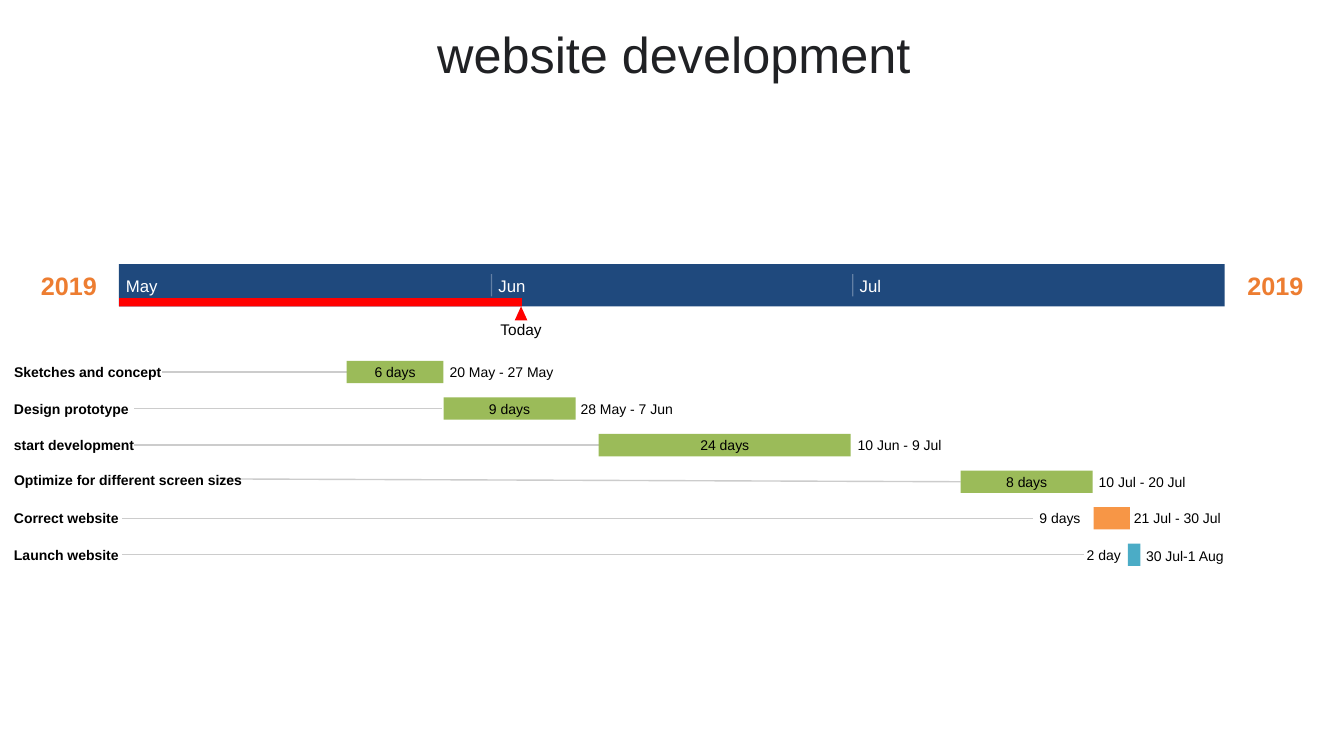
from typing import NamedTuple, Optional

from lxml import etree
from pptx import Presentation
from pptx.dml.color import RGBColor
from pptx.enum import shapes, text
from pptx.oxml import ns
from pptx.util import Pt

FONT = "Arial"
BLACK = RGBColor(0x00, 0x00, 0x00)
WHITE = RGBColor(0xFF, 0xFF, 0xFF)
TITLE_GREY = RGBColor(0x20, 0x21, 0x24)
YEAR_ORANGE = RGBColor(0xED, 0x7D, 0x31)
BAND_BLUE = RGBColor(0x1F, 0x49, 0x7D)
TODAY_RED = RGBColor(0xFF, 0x00, 0x00)
LEADER_GREY = RGBColor(0xCC, 0xCC, 0xCC)
GREEN = RGBColor(0x9B, 0xBB, 0x59)
ORANGE = RGBColor(0xF7, 0x96, 0x46)
TEAL = RGBColor(0x4B, 0xAC, 0xC6)

LEFT, CENTER = text.PP_ALIGN.LEFT, text.PP_ALIGN.CENTER
RECTANGLE = shapes.MSO_SHAPE.RECTANGLE
TRIANGLE = shapes.MSO_SHAPE.ISOSCELES_TRIANGLE

BAND_LEFT, BAND_TOP, BAND_WIDTH, BAND_HEIGHT = 85, 188.6, 789.8, 30.2
BAND_BOTTOM = BAND_TOP + BAND_HEIGHT
TODAY_X, ELAPSED_HEIGHT = 372.2, 5.8
FIRST_ROW_Y, ROW_PITCH = 265.8, 26.1
BAR_HEIGHT, ROW_TEXT_HEIGHT, TASK_LEFT = 16, 12.2, 10


class Month(NamedTuple):
    """A month on the band, with a divider unless it opens the band."""
    name: str
    start: float
    width: float
    divided: bool = True


class Task(NamedTuple):
    """One row of the plan; the shifts move a part off the row's centre line."""
    name: str
    name_width: float
    leader_start: float
    leader_end: float
    bar_left: float
    bar_width: float
    duration: str
    dates: str
    dates_left: float
    dates_width: float
    color: RGBColor = GREEN
    duration_x: Optional[float] = None
    duration_width: float = 38.2
    name_shift: float = 0
    leader_shift: float = 0
    dates_shift: float = 0


MONTHS = [
    Month("May", BAND_LEFT, 28.8, divided=False),
    Month("Jun", 351.1, 28.8),
    Month("Jul", 609.1, 18.7),
]

TASKS = [
    Task("Sketches and concept", 106, 116, 249, 247.7, 69.1,
         "6 days", "20 May - 27 May", 321.1, 77),
    Task("Design prototype", 86, 96, 316, 316.8, 94.3,
         "9 days", "28 May - 7 Jun", 414.7, 67),
    Task("start development", 86.5, 96, 427.7, 427.7, 180,
         "24 days", "10 Jun - 9 Jul", 612.7, 77),
    Task("Optimize for different screen sizes", 170, 154.8, 686.2, 686.2, 94.3,
         "8 days", "10 Jul - 20 Jul", 784.8, 67, name_shift=-1, leader_shift=-2),
    Task("Correct website", 77, 87, 738, 781.2, 25.9,
         "9 days", "21 Jul - 30 Jul", 810, 67, ORANGE, duration_x=757.1),
    Task("Launch website", 77, 87, 774, 805.7, 8.9,
         "2 day", "30 Jul-1 Aug", 818.6, 93, TEAL, duration_x=788.4,
         duration_width=28.8, dates_shift=1),
]


def add_run(paragraph, words: str, size: float, color: RGBColor, bold: bool = False) -> None:
    """Append one formatted run to a paragraph."""
    run = paragraph.add_run()
    run.text = words
    run.font.name = FONT
    run.font.size = Pt(size)
    run.font.bold = bold
    run.font.color.rgb = color


def clear_margins(frame) -> None:
    """Remove the inner margins and centre the text vertically."""
    frame.margin_left = frame.margin_right = Pt(0)
    frame.margin_top = frame.margin_bottom = Pt(0)
    frame.vertical_anchor = text.MSO_ANCHOR.MIDDLE


def add_label(slide, words: str, left: float, middle: float, width: float, height: float,
              size: float, color: RGBColor = BLACK, bold: bool = False,
              align=LEFT, wrap: bool = False) -> None:
    """Add a line of text centred vertically on middle."""
    box = slide.shapes.add_textbox(Pt(left), Pt(middle - height / 2), Pt(width), Pt(height))
    frame = box.text_frame
    clear_margins(frame)
    frame.word_wrap = wrap
    frame.auto_size = text.MSO_AUTO_SIZE.SHAPE_TO_FIT_TEXT
    frame.paragraphs[0].alignment = align
    add_run(frame.paragraphs[0], words, size, color, bold)


def add_block(slide, kind, left: float, top: float, width: float, height: float,
              color: RGBColor) -> None:
    """Add a filled preset shape without outline or shadow."""
    block = slide.shapes.add_shape(kind, Pt(left), Pt(top), Pt(width), Pt(height))
    block.shadow.inherit = False
    block.fill.solid()
    block.fill.fore_color.rgb = color
    block.line.fill.background()


def add_line(slide, x1: float, y1: float, x2: float, y2: float,
             color: RGBColor, opacity: int = 100) -> None:
    """Add a one-point line; opacity is in percent."""
    line = slide.shapes.add_connector(
        shapes.MSO_CONNECTOR.STRAIGHT, Pt(x1), Pt(y1), Pt(x2), Pt(y2))
    line.line.width = Pt(1)
    line.line.color.rgb = color
    properties = line._element.spPr
    if opacity < 100:
        paint = properties.find(".//" + ns.qn("a:srgbClr"))
        etree.SubElement(paint, ns.qn("a:alpha")).set("val", str(opacity * 1000))
    etree.SubElement(properties, ns.qn("a:effectLst"))


def add_title(slide, words: str) -> None:
    """Place and format the title placeholder."""
    title = slide.shapes.title
    title.left, title.top, title.width, title.height = Pt(308.2), Pt(20.2), Pt(346.3), Pt(41)
    clear_margins(title.text_frame)
    paragraph = title.text_frame.paragraphs[0]
    paragraph.alignment = CENTER
    paragraph.line_spacing = 0.9
    add_run(paragraph, words, 36, TITLE_GREY)


def add_timeband(slide) -> None:
    """Draw the years, the band of months and the marker for today."""
    for year_left in (25.2, 887):
        add_label(slide, "2019", year_left, 204.1, 48.2, 20.9, 18, YEAR_ORANGE, True, CENTER)
    add_block(slide, RECTANGLE, BAND_LEFT, BAND_TOP, BAND_WIDTH, BAND_HEIGHT, BAND_BLUE)
    add_block(slide, RECTANGLE, BAND_LEFT, BAND_BOTTOM - ELAPSED_HEIGHT,
              TODAY_X + 0.6 - BAND_LEFT, ELAPSED_HEIGHT, TODAY_RED)
    add_block(slide, TRIANGLE, TODAY_X - 4.5, BAND_BOTTOM, 9, 10, TODAY_RED)
    add_label(slide, "Today", TODAY_X - 19.1, 235.5, 38.2, 13, 11, align=CENTER)
    for month in MONTHS:
        if month.divided:
            add_line(slide, month.start, 195.8, month.start, 211.7, WHITE, opacity=30)
        add_label(slide, month.name, month.start + 5, 204.1, month.width, 13.7, 12, WHITE)


def add_task(slide, task: Task, middle: float) -> None:
    """Draw the bar of a task with its dates, duration and name."""
    add_block(slide, RECTANGLE, task.bar_left, middle - BAR_HEIGHT / 2,
              task.bar_width, BAR_HEIGHT, task.color)
    add_label(slide, task.dates, task.dates_left, middle + task.dates_shift,
              task.dates_width, ROW_TEXT_HEIGHT, 10, wrap=True)
    duration_x = task.duration_x or task.bar_left + task.bar_width / 2
    add_label(slide, task.duration, duration_x - task.duration_width / 2, middle,
              task.duration_width, ROW_TEXT_HEIGHT, 10, align=CENTER, wrap=True)
    add_label(slide, task.name, TASK_LEFT, middle + task.name_shift,
              task.name_width, ROW_TEXT_HEIGHT, 10, bold=True, wrap=True)


def main() -> None:
    """Build the plan and save it."""
    deck = Presentation()
    deck.slide_width, deck.slide_height = Pt(960), Pt(540)
    slide = deck.slides.add_slide(deck.slide_layouts[5])
    add_title(slide, "website development")
    add_timeband(slide)
    rows = [(task, FIRST_ROW_Y + ROW_PITCH * i) for i, task in enumerate(TASKS)]
    for task, middle in rows:
        add_line(slide, task.leader_start, middle + task.leader_shift,
                 task.leader_end, middle, LEADER_GREY)
    for task, middle in rows:
        add_task(slide, task, middle)
    deck.save("out.pptx")


main()
